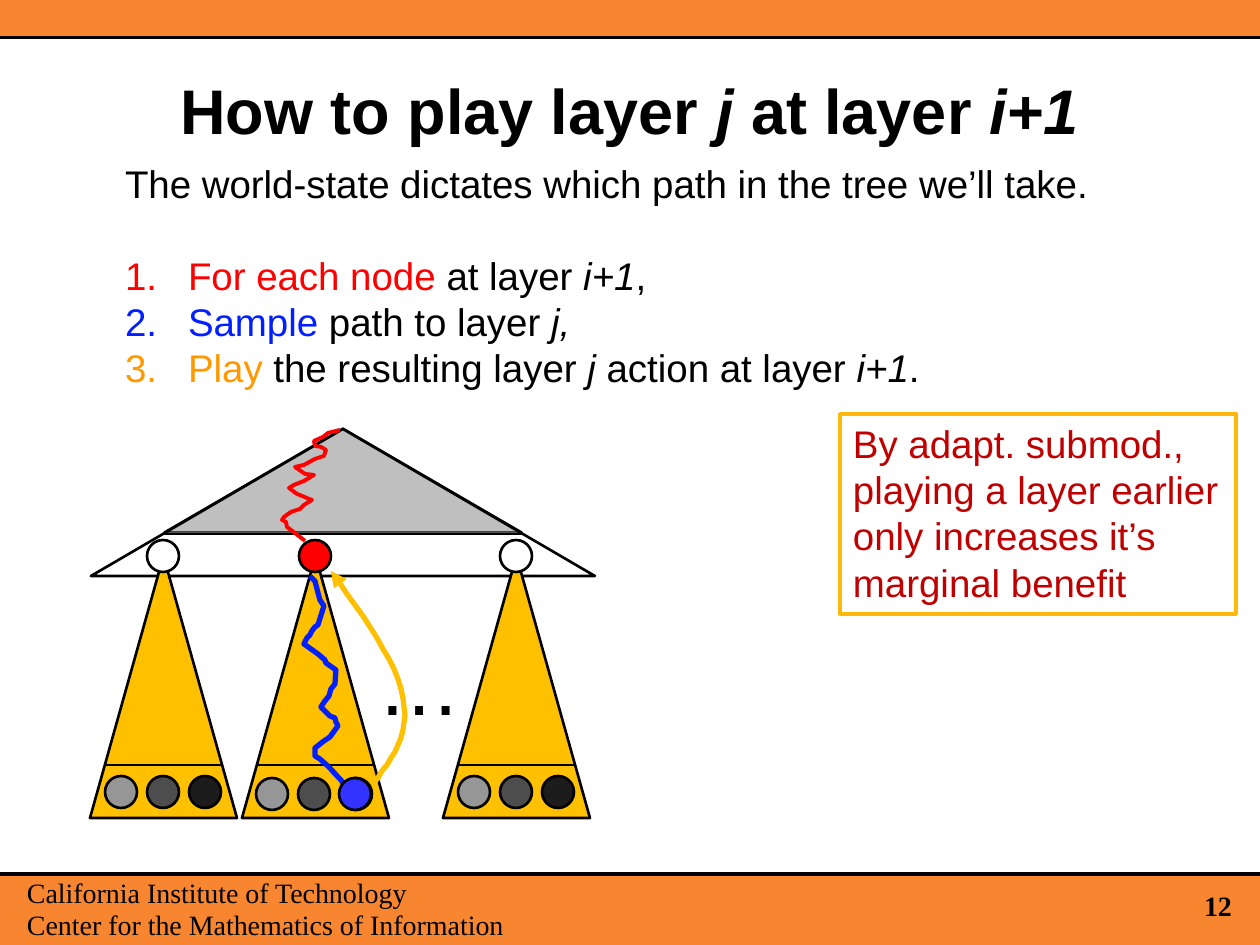
from lxml import etree
from pptx import Presentation
from pptx.dml.color import RGBColor
from pptx.enum.shapes import MSO_CONNECTOR, MSO_SHAPE
from pptx.enum.text import MSO_ANCHOR, MSO_AUTO_SIZE, PP_ALIGN
from pptx.oxml.ns import qn
from pptx.util import Inches, Pt

RECTANGLE, OVAL = MSO_SHAPE.RECTANGLE, MSO_SHAPE.OVAL
TRIANGLE = MSO_SHAPE.ISOSCELES_TRIANGLE
STRAIGHT = MSO_CONNECTOR.STRAIGHT
LEFT, CENTER = PP_ALIGN.LEFT, PP_ALIGN.CENTER
TOP, MIDDLE = MSO_ANCHOR.TOP, MSO_ANCHOR.MIDDLE
NO_FIT = MSO_AUTO_SIZE.NONE

SCALE = Inches(1) / 126  # EMU in one px
COLORS = {
    "black": "000000", "white": "FFFFFF", "bar": "F88631", "gray": "BFBFBF",
    "amber": "FFC000", "red": "FF0000", "blue": "011FFF", "orange": "FF9900",
    "leaf light": "969696", "leaf mid": "4D4D4D", "leaf dark": "1C1C1C",
    "leaf blue": "3333FF", "crimson": "C00000", "frame": "FEB80A",
}
LEAVES = ("leaf light", "leaf mid", "leaf dark")
DOT = 32  # diameter of nodes and leaves

# Paths inside the tree box
ROOT_PATH = [
    (250, 2), (238, 5), (233, 9), (224, 13), (225, 18), (231, 19), (236, 22),
    (234, 28), (225, 31), (214, 37), (205, 39), (215, 46), (224, 47), (214, 53),
    (204, 57), (199, 60), (207, 66), (212, 68), (219, 71), (222, 72), (214, 77),
    (210, 81), (201, 84), (194, 89), (192, 92), (196, 94), (197, 99), (201, 102),
    (210, 109), (215, 113),
]
SAMPLE_PATH = [
    (220, 148), (225, 153), (230, 172), (234, 178), (228, 197), (225, 199),
    (222, 203), (220, 207), (217, 210), (214, 216), (228, 226), (235, 232),
    (236, 235), (246, 242), (245, 256), (241, 261), (239, 268), (235, 273),
    (231, 279), (240, 288), (245, 290), (246, 294), (248, 298), (240, 309),
    (234, 313), (225, 320), (225, 328), (230, 331), (239, 339), (248, 349),
    (251, 352), (255, 358), (260, 361), (263, 368),
]
PLAY_CURVES = [
    [(283, 356), (302, 331), (321, 305), (313, 270)],
    [(313, 270), (307, 234), (274, 188), (241, 143)],
]


def emu(*lengths):
    return [round(length * SCALE) for length in lengths]


def color(name):
    return RGBColor.from_string(COLORS[name])


def set_line(part, name, width):
    part.line.color.rgb = color(name)
    part.line.width = Pt(width)


def add_part(page, kind, box, fill=None, line="black", width=1.5):
    part = page.shapes.add_shape(kind, *emu(*box))
    part.shadow.inherit = False
    if fill:
        part.fill.solid()
        part.fill.fore_color.rgb = color(fill)
    else:
        part.fill.background()
    set_line(part, line, width)
    return part


def add_rule(page, left, right, y):
    rule = page.shapes.add_connector(STRAIGHT, *emu(left, y, right, y))
    set_line(rule, "black", 1.5)
    etree.SubElement(rule._element.spPr, qn("a:effectLst"))


def add_path(page, origin, points, name, width):
    placed = [(origin[0] + x, origin[1] + y) for x, y in points]
    builder = page.shapes.build_freeform(*placed[0], scale=SCALE)
    builder.add_line_segments(placed[1:], close=False)
    path = builder.convert_to_shape()
    path.shadow.inherit = False
    path.fill.background()
    set_line(path, name, width)
    return path


def curve_points(curves, steps=12):
    points = [curves[0][0]]
    for curve in curves:
        for step in range(1, steps + 1):
            t = step / steps
            weights = ((1 - t) ** 3, 3 * t * (1 - t) ** 2, 3 * t * t * (1 - t), t ** 3)
            points.append(tuple(round(sum(w * p[axis] for w, p in zip(weights, curve)))
                                for axis in (0, 1)))
    return points


def place(part, box):
    part.left, part.top, part.width, part.height = emu(*box)


def set_frame(part, anchor=TOP, inset=(13, 6), wrap=True):
    frame = part.text_frame
    x, y = emu(*inset)
    values = {"auto_size": NO_FIT, "word_wrap": wrap, "vertical_anchor": anchor,
              "margin_left": x, "margin_right": x, "margin_top": y, "margin_bottom": y}
    for name, value in values.items():
        setattr(frame, name, value)
    return frame


def write(frame, lines, size, font="Arial", bold=False, **layout):
    """Each line is a list of (text, colour, italic) spans."""
    paras = []
    for index, spans in enumerate(lines):
        para = frame.add_paragraph() if index else frame.paragraphs[0]
        for name, value in {"alignment": LEFT, "space_before": Pt(0), **layout}.items():
            setattr(para, name, value)
        for text, name, italic in spans:
            span = para.add_run()
            span.text = text
            for key, value in {"name": font, "size": Pt(size), "bold": bold,
                               "italic": italic}.items():
                setattr(span.font, key, value)
            span.font.color.rgb = color(name)
        paras.append(para)
    return paras


def plain(*texts, name="black"):
    return [[(text, name, False)] for text in texts]


def add_text(page, box, lines, size, **style):
    frame = set_frame(page.shapes.add_textbox(*emu(*box)), wrap=False)
    write(frame, lines, size, **style)


def add_bars(page, box):
    left, top, width, height = box
    add_part(page, RECTANGLE, (left - 10, top - 15, width + 21, 53), "bar", width=1.75)
    add_part(page, RECTANGLE, (left - 10, top + 874, width + 21, 82), "bar", width=1.75)
    footer = plain("California Institute of Technology",
                   "Center for the Mathematics of Information")
    add_text(page, (left + 14, top + 872, 510, 77), footer, 16,
             font="Times New Roman", line_spacing=0.95)
    add_text(page, (left + 1176, top + 886, 84, 48), plain("12"), 16,
             font="Times New Roman", bold=True, alignment=CENTER, line_spacing=0.9)


def fill_title(title, box):
    place(title, box)
    spans = [("How to play layer ", "black", False), ("j", "black", True),
             (" at layer ", "black", False), ("i+1", "black", True)]
    write(set_frame(title, MIDDLE, (0, 0)), [spans], 36, bold=True,
          alignment=CENTER, line_spacing=0.83)


def fill_body(body, box):
    place(body, box)
    lines = plain("The world-state dictates which path in the tree we’ll take.") + [
        [("For each node ", "red", False), ("at layer ", "black", False),
         ("i+1", "black", True), (",", "black", False)],
        [("Sample", "blue", False), (" path to layer ", "black", False),
         ("j,", "black", True)],
        [("Play", "orange", False), (" the resulting layer ", "black", False),
         ("j", "black", True), (" action at layer ", "black", False),
         ("i+1", "black", True), (".", "black", False)],
    ]
    intro, *steps = write(set_frame(body), lines, 22)
    steps[0].space_before = Pt(26)
    for para, indent, bullet in [(intro, 0, "a:buNone")] + [
            (step, 63, "a:buAutoNum") for step in steps]:
        props = para._p.get_or_add_pPr()
        props.set("marL", str(emu(indent)[0]))
        props.set("indent", str(-emu(indent)[0]))
        mark = etree.SubElement(props, qn(bullet))
        if indent:
            mark.set("type", "arabicPeriod")


def add_subtree(page, box, leaf_shift=(0, 0), node="white"):
    left, top, width, height = box
    add_part(page, TRIANGLE, box, "amber")
    add_rule(page, left + 15, left + width - 14, top + 209)
    for index, fill in enumerate(LEAVES):
        add_part(page, OVAL, (left + 15 + 42 * index + leaf_shift[0],
                              top + 220 + leaf_shift[1], DOT, DOT), fill)
    add_part(page, OVAL, (left + 57, top - 16, DOT, DOT), node)


def add_tree(page, box):
    left, top, width, height = box
    add_part(page, TRIANGLE, (left + 74, top, 358, 104), "gray", width=0.75)
    add_part(page, TRIANGLE, (left + 1, top + 1, width - 2, 147))
    add_rule(page, left + 73, left + 433, top + 106)
    add_path(page, (left, top), ROOT_PATH, "red", 2.25)
    for offset, shift, node in [(0, (0, 0), "white"), (152, (-1, 2), "red"),
                                (353, (0, 0), "white")]:
        add_subtree(page, (left + offset, top + 128, 147, 262), shift, node)
    add_text(page, (left + 275, top + 198, 111, 115), plain("…"), 48)
    # Sampled path and the action it leads to
    add_path(page, (left, top), SAMPLE_PATH, "blue", 3)
    arrow = add_path(page, (left, top), curve_points(PLAY_CURVES), "amber", 3)
    etree.SubElement(arrow.line._get_or_add_ln(), qn("a:tailEnd"), type="triangle")
    add_part(page, OVAL, (left + 249, top + 350, DOT, DOT), "leaf blue")


def add_remark(page, box):
    remark = add_part(page, RECTANGLE, box, "white", "frame", 2)
    lines = plain("By adapt. submod.,", "playing a layer earlier",
                  "only increases it’s", "marginal benefit", name="crimson")
    write(set_frame(remark, wrap=False), lines, 22)


def main():
    deck = Presentation()
    deck.slide_width, deck.slide_height = emu(1260, 945)
    page = deck.slides.add_slide(deck.slide_layouts[1])
    add_bars(page, (0, 0, 1260, 945))
    fill_title(page.shapes.title, (63, 38, 1133, 156))
    fill_body(page.placeholders[1], (112, 154, 1002, 246))
    add_tree(page, (90, 428, 506, 390))
    add_remark(page, (840, 414, 396, 200))
    deck.save("out.pptx")


if __name__ == "__main__":
    main()
